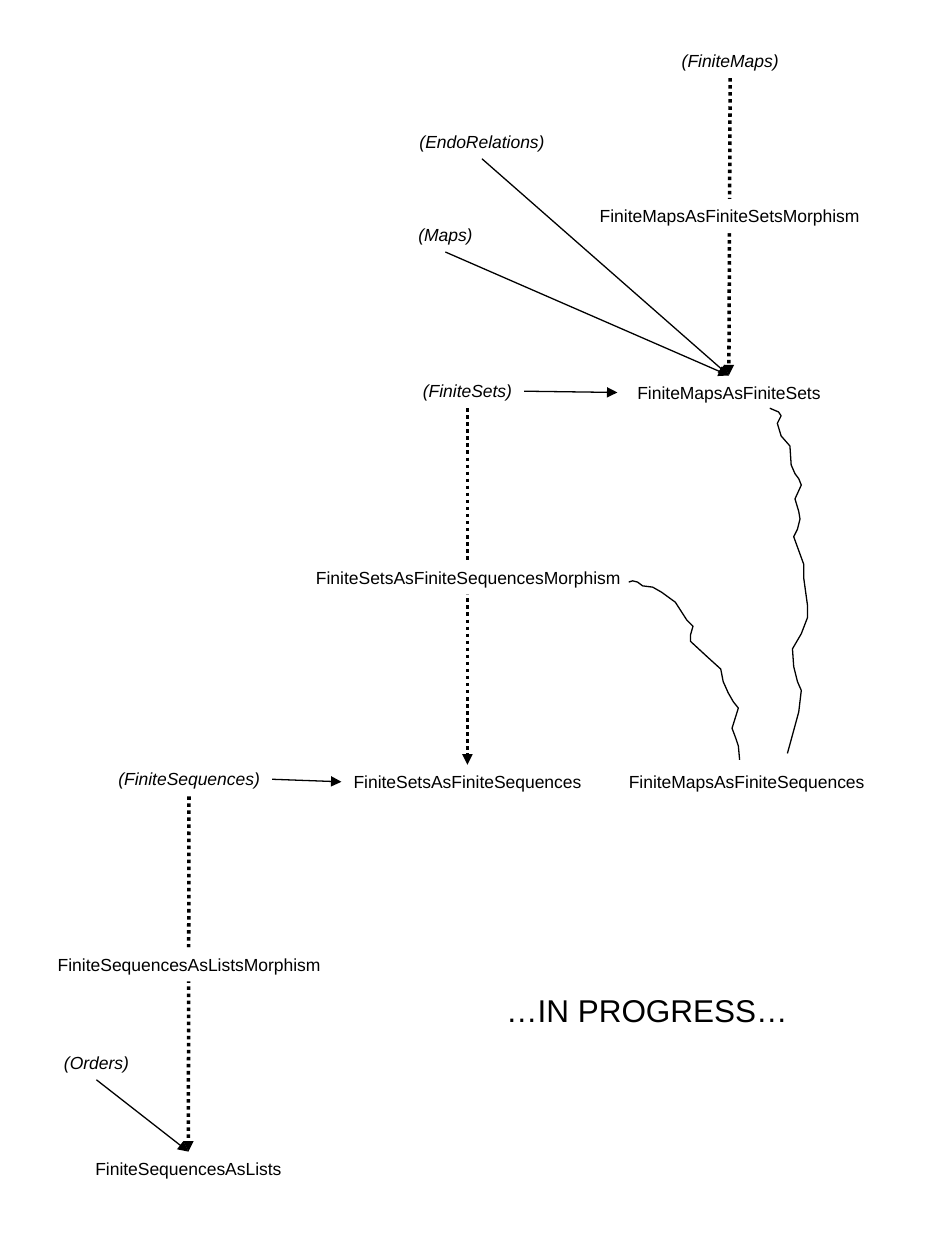
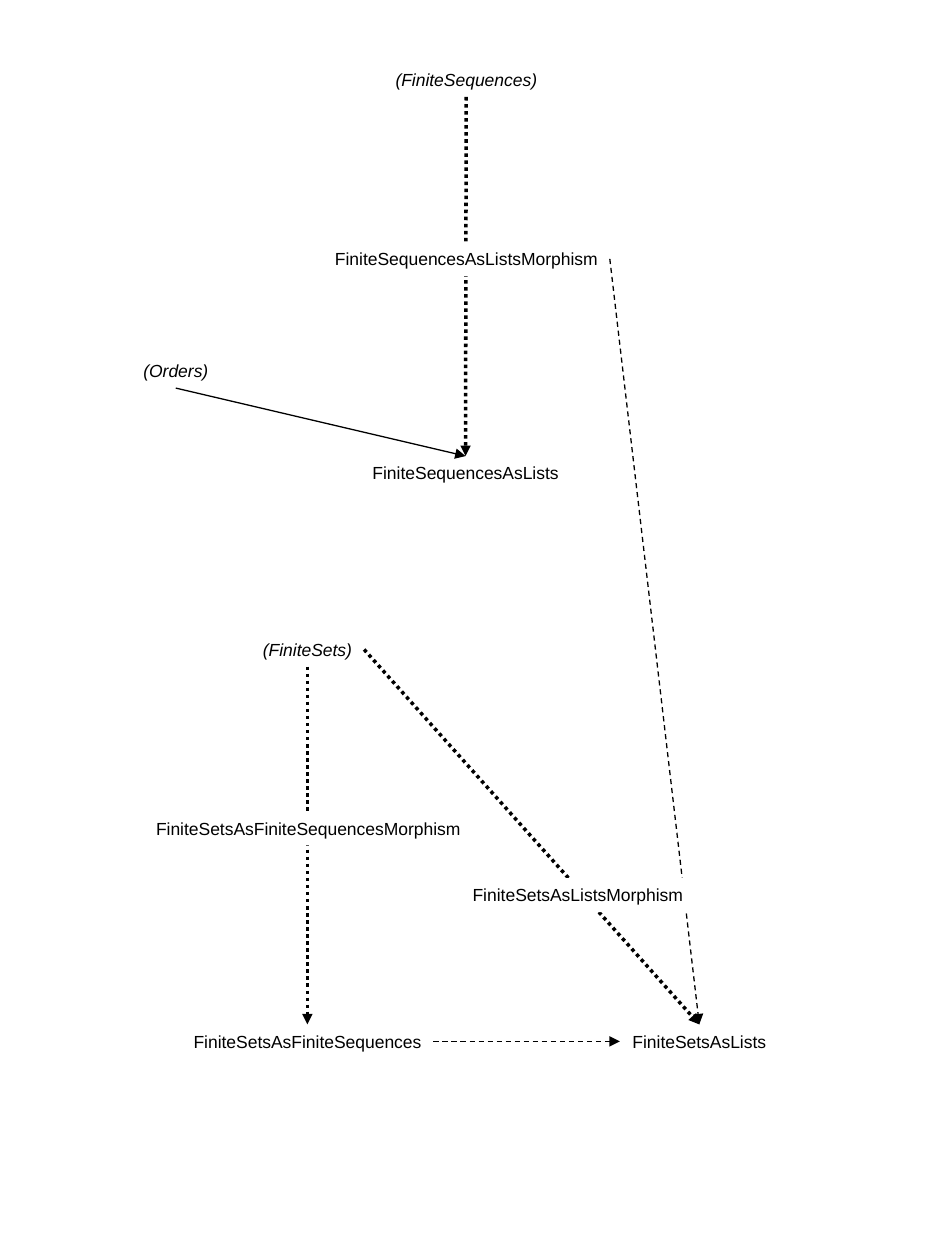
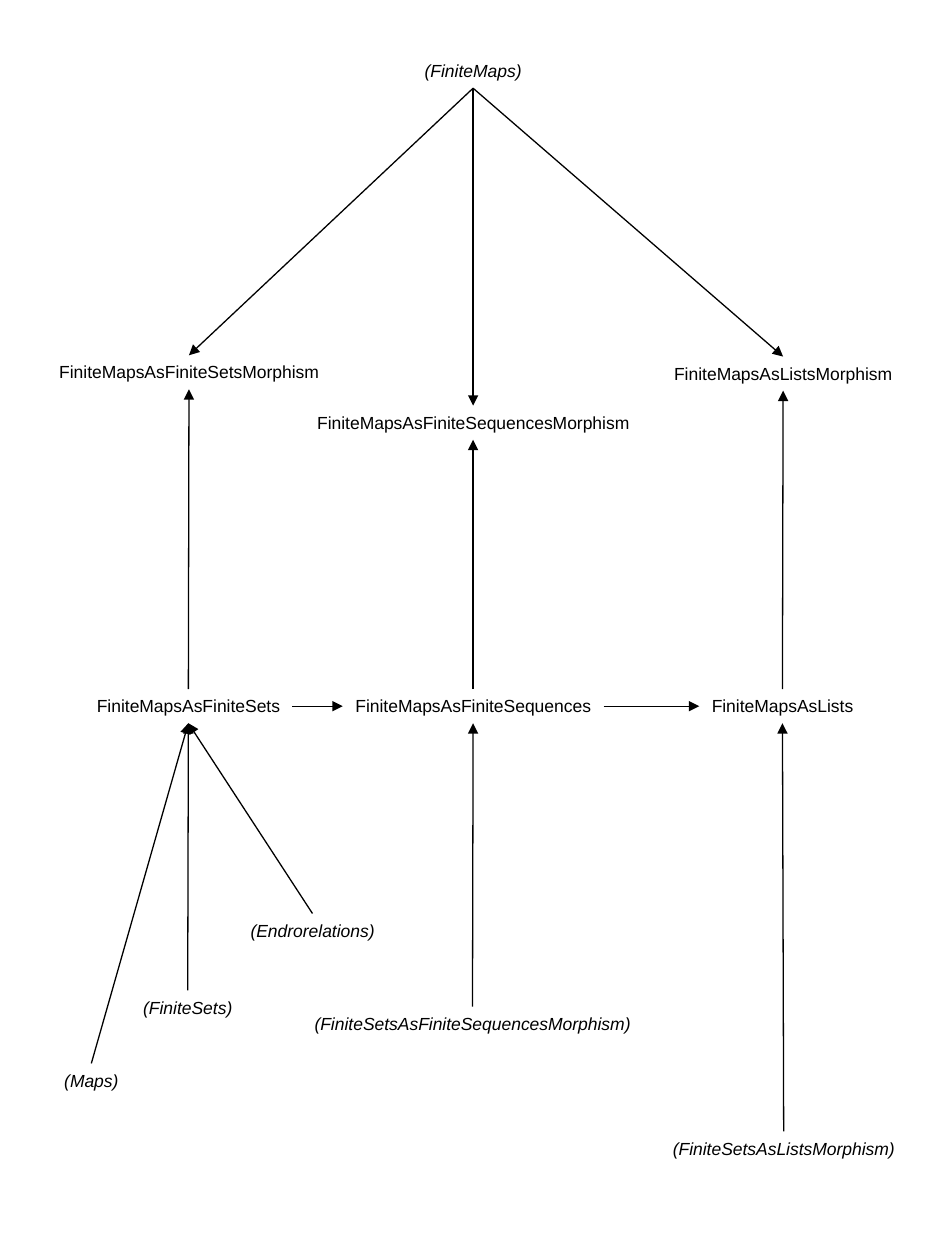
"""Build three diagrams of how finite sets, maps and sequences are represented."""
from dataclasses import dataclass
from enum import IntEnum
from typing import Optional, Union

from pptx import Presentation
from pptx.dml.color import RGBColor
from pptx.enum.dml import MSO_LINE
from pptx.enum.shapes import MSO_CONNECTOR, MSO_SHAPE
from pptx.enum.text import MSO_ANCHOR, MSO_AUTO_SIZE, PP_ALIGN
from pptx.oxml.ns import qn
from pptx.util import Inches, Pt

COLORS = {"ink": "000000", "paper": "FFFFFF"}
FONT = "Arial"
THIN = 0.75
SIDE_MARGIN = 0.05

SETS = "(FiniteSets)"
MAPS = "(Maps)"
FINITE_MAPS = "(FiniteMaps)"
SEQUENCES = "(FiniteSequences)"
ORDERS = "(Orders)"
ENDO = "(EndoRelations)"
ENDRO = "(Endrorelations)"
SETS_SEQUENCES = "FiniteSetsAsFiniteSequences"
SETS_LISTS = "FiniteSetsAsLists"
MAPS_SETS = "FiniteMapsAsFiniteSets"
MAPS_SEQUENCES = "FiniteMapsAsFiniteSequences"
MAPS_LISTS = "FiniteMapsAsLists"
SEQUENCES_LISTS = "FiniteSequencesAsLists"


class Side(IntEnum):
    """Connection sites of a rectangle."""
    TOP = 0
    LEFT = 1
    BOTTOM = 2
    RIGHT = 3


@dataclass(frozen=True)
class Stroke:
    """Width and dash of a line."""
    width: float
    dash: Optional[MSO_LINE] = None


PLAIN = Stroke(THIN)
DASHED = Stroke(THIN, MSO_LINE.DASH)
DOTTED = Stroke(2, MSO_LINE.ROUND_DOT)


@dataclass(frozen=True)
class Label:
    """A name in the diagram; a cover hides the line behind it."""
    text: str
    left: float
    top: float
    width: float
    height: float = 0.27
    size: int = 10
    cover: bool = False


@dataclass(frozen=True)
class Arrow:
    """An arrow between two labels, stopping short by the gap."""
    source: str
    target: str
    stroke: Stroke = PLAIN
    leave: Side = Side.BOTTOM
    arrive: Side = Side.TOP
    gap: float = 0


@dataclass(frozen=True)
class Squiggle:
    """A hand-drawn line through points."""
    points: tuple


Item = Union[Label, Arrow, Squiggle]


def morphism(name: str) -> str:
    """Name the morphism of a representation."""
    return f"{name}Morphism"


def cover(name: str, left: float, top: float, width: float) -> Label:
    """Describe a morphism label laid over its arrow."""
    return Label(morphism(name), left, top, width, cover=True)


def across(source: str, target: str, stroke: Stroke = PLAIN, gap: float = 0) -> Arrow:
    """Describe an arrow to the right."""
    return Arrow(source, target, stroke, Side.RIGHT, Side.LEFT, gap)


def rise(source: str, target: str) -> Arrow:
    """Describe an upward arrow."""
    return Arrow(source, target, PLAIN, Side.TOP, Side.BOTTOM)


MAPS_SQUIGGLE = Squiggle((
    (6.11, 3.24), (6.18, 3.27), (6.2, 3.3), (6.17, 3.36), (6.2, 3.46), (6.27, 3.54),
    (6.28, 3.69), (6.31, 3.76), (6.34, 3.8), (6.36, 3.85), (6.31, 3.96), (6.34, 4.06),
    (6.35, 4.12), (6.33, 4.2), (6.3, 4.26), (6.38, 4.48), (6.38, 4.59), (6.41, 4.81),
    (6.41, 4.9), (6.36, 5.03), (6.29, 5.15), (6.3, 5.29), (6.33, 5.41), (6.36, 5.48),
    (6.34, 5.65), (6.31, 5.76), (6.25, 5.98)))
SETS_SQUIGGLE = Squiggle((
    (4.99, 4.62), (5.02, 4.61), (5.06, 4.62), (5.1, 4.65), (5.18, 4.66), (5.25, 4.7),
    (5.36, 4.78), (5.45, 4.92), (5.5, 4.97), (5.48, 5.04), (5.48, 5.09), (5.61, 5.21),
    (5.72, 5.31), (5.74, 5.41), (5.78, 5.5), (5.82, 5.57), (5.86, 5.62), (5.81, 5.78),
    (5.84, 5.86), (5.86, 5.92), (5.87, 6.03)))

PROGRESS_PAGE: list[Item] = [
    Label(SETS_SEQUENCES, 2.71, 6.07, 2),
    Label(SETS, 3.26, 2.97, 0.9),
    Arrow(SETS, SETS_SEQUENCES, DOTTED),
    cover(SETS_SEQUENCES, 2.41, 4.45, 2.61),
    Label(MAPS_SETS, 4.96, 2.98, 1.65),
    Label(FINITE_MAPS, 5.31, 0.35, 0.97),
    Arrow(FINITE_MAPS, MAPS_SETS, DOTTED),
    cover(MAPS_SETS, 4.66, 1.58, 2.26),
    Label(SEQUENCES_LISTS, 0.66, 9.14, 1.67),
    Label(SEQUENCES, 0.84, 6.05, 1.32),
    Arrow(SEQUENCES, SEQUENCES_LISTS, DOTTED),
    cover(SEQUENCES_LISTS, 0.36, 7.52, 2.28),
    across(SETS, MAPS_SETS, gap=0.06),
    across(SEQUENCES, SETS_SEQUENCES),
    Label(ORDERS, 0.41, 8.3, 0.71),
    Arrow(ORDERS, SEQUENCES_LISTS),
    Label(MAPS, 3.22, 1.73, 0.63),
    Label(ENDO, 3.23, 0.99, 1.19),
    Arrow(ENDO, MAPS_SETS),
    Arrow(MAPS, MAPS_SETS),
    Label(MAPS_SEQUENCES, 4.89, 6.07, 2.07),
    MAPS_SQUIGGLE,
    SETS_SQUIGGLE,
    Label("…IN PROGRESS…", 3.92, 7.82, 2.43, 0.4, 18),
]

LISTS_PAGE: list[Item] = [
    Label(SEQUENCES_LISTS, 2.86, 3.62, 1.67),
    Label(SEQUENCES, 3.04, 0.5, 1.32),
    Arrow(SEQUENCES, SEQUENCES_LISTS, DOTTED),
    Label(ORDERS, 1.04, 2.81, 0.71),
    Arrow(ORDERS, SEQUENCES_LISTS),
    cover(SEQUENCES_LISTS, 2.56, 1.92, 2.28),
    Label(SETS_SEQUENCES, 1.44, 8.13, 2),
    Label(SETS, 1.99, 5.02, 0.9),
    Arrow(SETS, SETS_SEQUENCES, DOTTED),
    cover(SETS_SEQUENCES, 1.14, 6.44, 2.61),
    Label(SETS_LISTS, 4.92, 8.13, 1.26),
    across(SETS_SEQUENCES, SETS_LISTS, DASHED),
    Arrow(morphism(SEQUENCES_LISTS), SETS_LISTS, DASHED, Side.RIGHT),
    Arrow(SETS, SETS_LISTS, DOTTED, Side.RIGHT),
    cover(SETS_LISTS, 3.65, 6.97, 1.87),
]

SETS_PARENT = f"({morphism(SETS_SEQUENCES)})"
LISTS_PARENT = f"({morphism(SETS_LISTS)})"

MAPS_PAGE: list[Item] = [
    Label(SETS, 1.04, 7.86, 0.9),
    Label(MAPS_SETS, 0.67, 5.47, 1.65),
    Label(FINITE_MAPS, 3.27, 0.43, 0.97),
    Label(morphism(MAPS_SETS), 0.37, 2.82, 2.26),
    Label(MAPS, 0.41, 8.44, 0.63),
    Label(ENDRO, 1.89, 7.25, 1.18),
    Label(MAPS_SEQUENCES, 2.72, 5.47, 2.07),
    Label(SETS_PARENT, 2.4, 7.99, 2.7),
    Label(morphism(MAPS_SEQUENCES), 2.42, 3.22, 2.67),
    Label(morphism(MAPS_LISTS), 5.25, 2.83, 1.93),
    Label(MAPS_LISTS, 5.55, 5.47, 1.32),
    Label(LISTS_PARENT, 5.24, 8.98, 1.96),
    *(Arrow(FINITE_MAPS, morphism(name)) for name in (MAPS_SETS, MAPS_SEQUENCES, MAPS_LISTS)),
    *(rise(name, morphism(name)) for name in (MAPS_SETS, MAPS_SEQUENCES, MAPS_LISTS)),
    *(rise(name, MAPS_SETS) for name in (SETS, MAPS, ENDRO)),
    rise(SETS_PARENT, MAPS_SEQUENCES),
    rise(LISTS_PARENT, MAPS_LISTS),
    across(MAPS_SETS, MAPS_SEQUENCES),
    across(MAPS_SEQUENCES, MAPS_LISTS),
]


def color(name: str) -> RGBColor:
    """Look up a colour."""
    return RGBColor.from_string(COLORS[name])


def draw_label(page, label: Label):
    """Draw a label and return its box."""
    place = [Inches(n) for n in (label.left, label.top, label.width, label.height)]
    if label.cover:
        box = page.shapes.add_shape(MSO_SHAPE.RECTANGLE, *place)
        box.shadow.inherit = False
        box.fill.solid()
        box.fill.fore_color.rgb = color("paper")
        box.line.fill.background()
    else:
        box = page.shapes.add_textbox(*place)
    frame = box.text_frame
    frame.word_wrap = False
    frame.auto_size = MSO_AUTO_SIZE.SHAPE_TO_FIT_TEXT
    frame.vertical_anchor = MSO_ANCHOR.TOP
    frame.margin_left = frame.margin_right = Inches(SIDE_MARGIN)
    para = frame.paragraphs[0]
    para.alignment = PP_ALIGN.CENTER
    span = para.add_run()
    span.text = label.text
    span.font.name = FONT
    span.font.size = Pt(label.size)
    span.font.italic = label.text.startswith("(")
    span.font.color.rgb = color("ink")
    return box


def side_point(box, side: Side) -> tuple[int, int]:
    """Find the middle of a side of a box."""
    middle, center = box.left + box.width // 2, box.top + box.height // 2
    return {
        Side.TOP: (middle, box.top),
        Side.LEFT: (box.left, center),
        Side.BOTTOM: (middle, box.top + box.height),
        Side.RIGHT: (box.left + box.width, center),
    }[side]


def style_line(line, stroke: Stroke) -> None:
    """Give a line its colour, width and dash."""
    line.color.rgb = color("ink")
    line.width = Pt(stroke.width)
    if stroke.dash is not None:
        line.dash_style = stroke.dash


def draw_arrow(page, arrow: Arrow, boxes: dict) -> None:
    """Draw an arrow joined to its labels."""
    source, target = boxes[arrow.source], boxes[arrow.target]
    end_x, end_y = side_point(target, arrow.arrive)
    connector = page.shapes.add_connector(
        MSO_CONNECTOR.STRAIGHT, *side_point(source, arrow.leave), end_x - Inches(arrow.gap), end_y)
    connector.begin_connect(source, arrow.leave.value)
    if not arrow.gap:
        connector.end_connect(target, arrow.arrive.value)
    style_line(connector.line, arrow.stroke)
    outline = connector.line._get_or_add_ln()
    outline.append(outline.makeelement(qn("a:tailEnd"), {"type": "triangle"}))
    properties = outline.getparent()
    properties.append(properties.makeelement(qn("a:effectLst"), {}))


def draw_squiggle(page, squiggle: Squiggle) -> None:
    """Draw an open hand-drawn line."""
    first, *others = [(Inches(x), Inches(y)) for x, y in squiggle.points]
    builder = page.shapes.build_freeform(*first)
    builder.add_line_segments(others, close=False)
    curve = builder.convert_to_shape()
    curve.shadow.inherit = False
    curve.fill.background()
    style_line(curve.line, PLAIN)


def draw_page(deck, items: list[Item]) -> None:
    """Add a page and draw its items from back to front."""
    page = deck.slides.add_slide(deck.slide_layouts[6])
    boxes = {}
    for item in items:
        if isinstance(item, Label):
            boxes[item.text] = draw_label(page, item)
        elif isinstance(item, Arrow):
            draw_arrow(page, item, boxes)
        else:
            draw_squiggle(page, item)


def main() -> None:
    """Build and save the deck."""
    deck = Presentation()
    deck.slide_width, deck.slide_height = Inches(7.5), Inches(10)
    for items in (PROGRESS_PAGE, LISTS_PAGE, MAPS_PAGE):
        draw_page(deck, items)
    deck.save("out.pptx")


if __name__ == "__main__":
    main()
